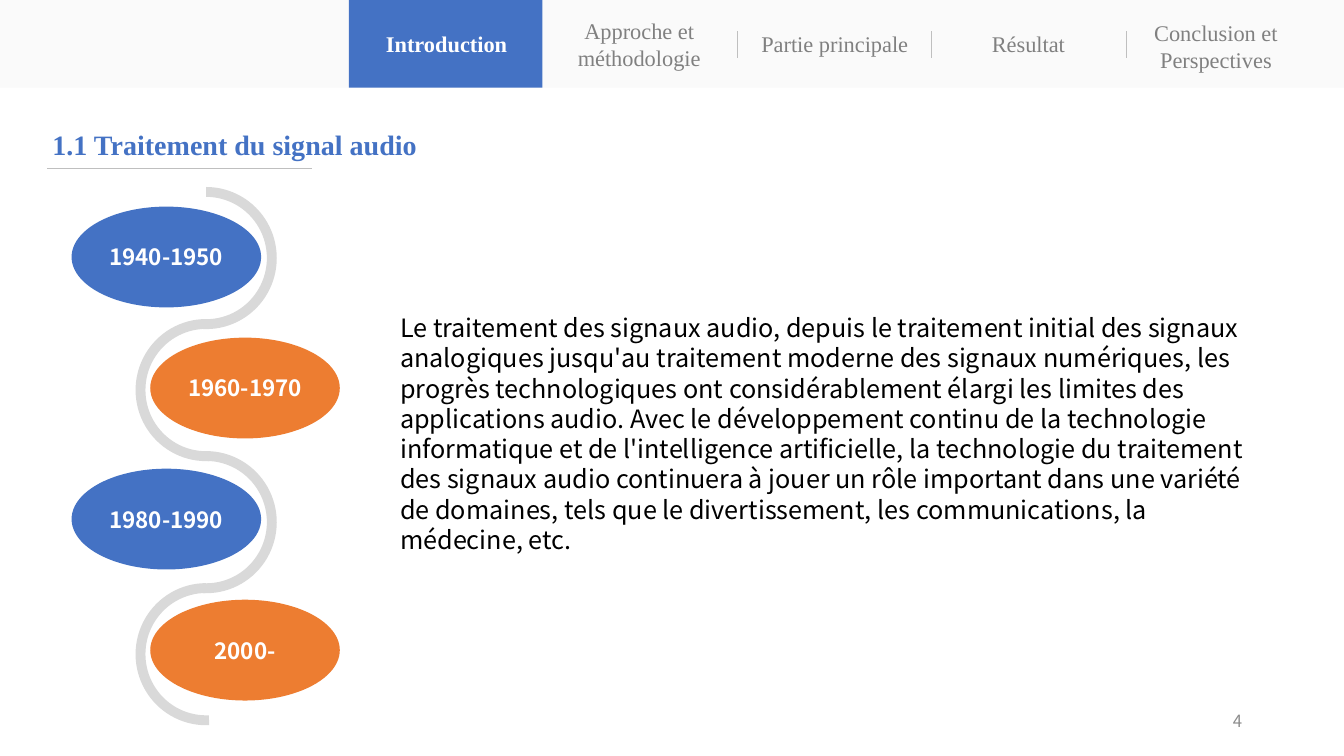
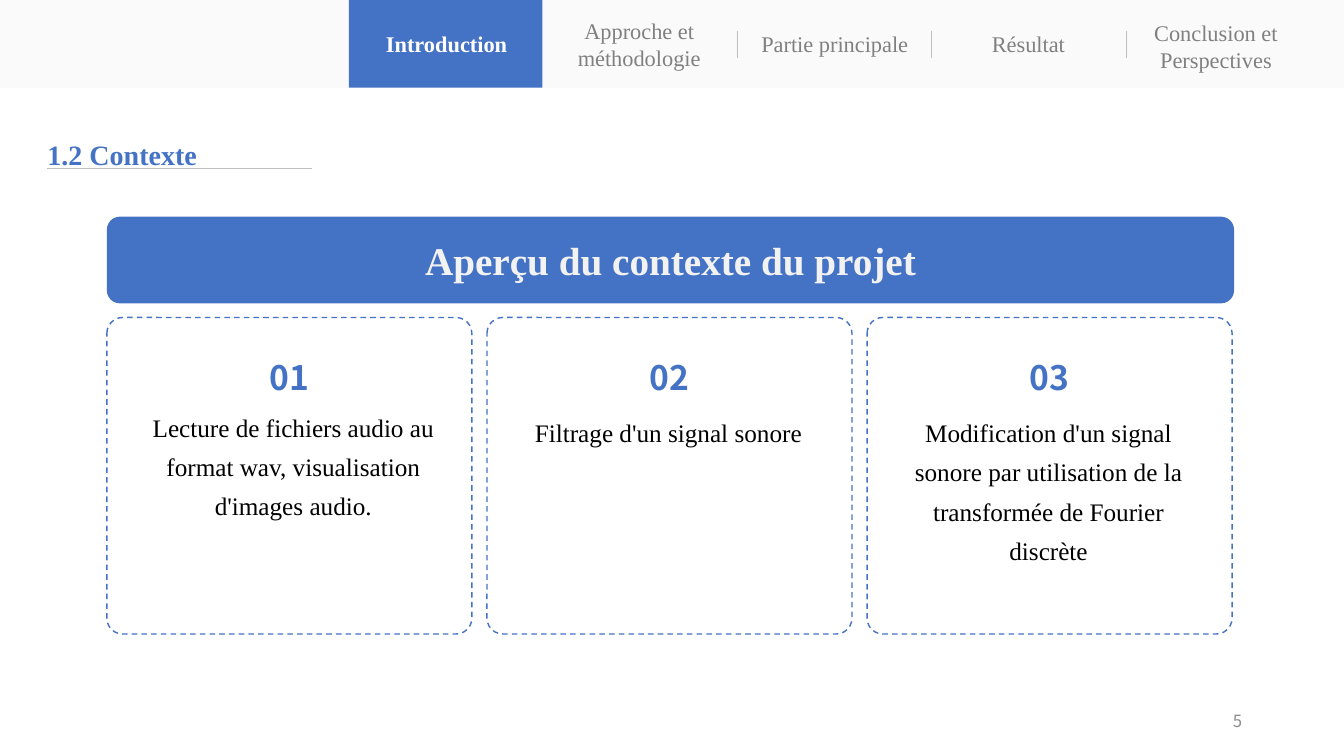
from dataclasses import dataclass

from lxml.etree import SubElement
from pptx import Presentation
from pptx.dml.color import RGBColor
from pptx.enum.dml import MSO_LINE as Dash
from pptx.enum.shapes import MSO_CONNECTOR as Link, MSO_SHAPE as Kind
from pptx.enum.text import MSO_ANCHOR as Anchor, MSO_AUTO_SIZE as Fit, PP_ALIGN as Align
from pptx.oxml.ns import qn
from pptx.util import Inches, Pt

HEX = {
    "blue": "4472C4", "orange": "ED7D31", "band": "FAFAFA", "rule": "BFBFBF",
    "arc": "D9D9D9", "grey": "808080", "page": "8C8C8C", "pale": "F2F2F2",
    "white": "FFFFFF", "black": "000000",
}
SERIF, SANS = "Times New Roman", "Noto Sans CJK SC"
STYLES = {
    "title": {"name": SERIF, "size": Pt(20), "bold": True, "color": "blue"},
    "tab": {"name": SERIF, "size": Pt(16), "bold": False, "color": "grey"},
    "active": {"name": SERIF, "size": Pt(16), "bold": True, "color": "white"},
    "page": {"name": SANS, "size": Pt(12), "color": "page"},
    "era": {"name": SANS, "size": Pt(16), "bold": True, "color": "white"},
    "body": {"name": SANS, "size": Pt(18), "color": "black"},
    "banner": {"name": SERIF, "size": Pt(28), "bold": True, "color": "pale"},
    "number": {"name": SANS, "size": Pt(24), "bold": True, "color": "blue"},
    "card": {"name": SERIF, "size": Pt(18), "color": "black"},
}
FLAT = (0, 0.05, 0, 0.05)
PLAIN = (0.1, 0.05, 0.1, 0.05)
NONE = (0, 0, 0, 0)


@dataclass
class Box:
    left: float
    top: float
    width: float
    height: float

    def emu(self) -> list:
        return [Inches(n) for n in (self.left, self.top, self.width, self.height)]


@dataclass
class Tab:
    text: str
    left: float
    mid: float = 0.43


@dataclass
class Era:
    text: str
    left: float
    fill: str


@dataclass
class Card:
    text: str
    left: float
    top: float


TABS = [
    Tab("Introduction", 3.46),
    Tab("Approche et méthodologie", 5.37, 0.44),
    Tab("Partie principale", 7.31),
    Tab("Résultat", 9.23),
    Tab("Conclusion et Perspectives", 11.09, 0.46),
]
ERAS = [
    Era("1940-1950", 0.71, "blue"),
    Era("1960-1970", 1.49, "orange"),
    Era("1980-1990", 0.71, "blue"),
    Era("2000-", 1.49, "orange"),
]
CARDS = [
    Card("Lecture de fichiers audio au format wav, visualisation d'images audio.", 1.41, 4),
    Card("Filtrage d'un signal sonore", 5.13, 4.05),
    Card("Modification d'un signal sonore par utilisation de la transformée "
         "de Fourier discrète", 8.9, 4.05),
]
STORY = (
    "Le traitement des signaux audio, depuis le traitement initial des signaux "
    "analogiques jusqu'au traitement moderne des signaux numériques, les progrès "
    "technologiques ont considérablement élargi les limites des applications audio. "
    "Avec le développement continu de la technologie informatique et de "
    "l'intelligence artificielle, la technologie du traitement des signaux audio "
    "continuera à jouer un rôle important dans une variété de domaines, tels que le "
    "divertissement, les communications, la médecine, etc."
)


def tint(name: str) -> RGBColor:
    return RGBColor.from_string(HEX[name])


def write(shape, text: str, style: str, align=Align.LEFT, anchor=Anchor.TOP,
          pad: tuple = PLAIN, space: float = 1) -> None:
    """Fill a shape's text frame with one styled paragraph."""
    frame = shape.text_frame
    sides = ("margin_left", "margin_top", "margin_right", "margin_bottom")
    form = dict(zip(sides, map(Inches, pad)))
    form |= {"word_wrap": True, "auto_size": Fit.NONE, "vertical_anchor": anchor}
    for key, value in form.items():
        setattr(frame, key, value)
    para = frame.paragraphs[0]
    para.alignment, para.line_spacing = align, space
    run = para.add_run()
    run.text = text
    for key, value in STYLES[style].items():
        if key == "color":
            run.font.color.rgb = tint(value)
        else:
            setattr(run.font, key, value)


def label(slide, box: Box, text: str, style: str, **form) -> None:
    write(slide.shapes.add_textbox(*box.emu()), text, style, **form)


def draw(slide, kind, box: Box, fill: str = "", edge: str = "", adj: tuple = ()):
    """Add a flat preset shape, filled or with a dashed edge."""
    shape = slide.shapes.add_shape(kind, *box.emu())
    shape.shadow.inherit = False
    for spot, value in enumerate(adj):
        shape.adjustments[spot] = value
    if fill:
        shape.fill.solid()
        shape.fill.fore_color.rgb = tint(fill)
    else:
        shape.fill.background()
    if edge:
        shape.line.color.rgb = tint(edge)
        shape.line.width = Pt(1)
        shape.line.dash_style = Dash.DASH
    else:
        shape.line.fill.background()
    return shape


def rule(slide, *ends: float) -> None:
    line = slide.shapes.add_connector(Link.STRAIGHT, *map(Inches, ends))
    line.line.color.rgb = tint("rule")
    line.line.width = Pt(0.5)
    SubElement(line.element.spPr, qn("a:effectLst"))


def start(deck, title: str, spot: Box, page: int):
    """Add a slide with the shared tab bar, title and page number."""
    slide = deck.slides.add_slide(deck.slide_layouts[5])
    head = slide.shapes.title
    head.left, head.top, head.width, head.height = spot.emu()
    write(head, title, "title", pad=FLAT)
    draw(slide, Kind.RECTANGLE, Box(0, 0, 13.33, 0.87), "band")
    draw(slide, Kind.RECTANGLE, Box(3.46, 0, 1.92, 0.87), "blue")
    rule(slide, 0.47, 1.67, 3.09, 1.67)
    for step in range(3):
        left = 7.31 + 1.93 * step
        rule(slide, left, 0.31, left, 0.58)
    for spot, tab in enumerate(TABS):
        label(slide, Box(tab.left, tab.mid - 0.3, 1.94, 0.6), tab.text,
              "tab" if spot else "active",
              align=Align.CENTER, anchor=Anchor.MIDDLE, pad=FLAT)
    label(slide, Box(9.42, 6.95, 3, 0.4), str(page), "page",
          align=Align.RIGHT, anchor=Anchor.MIDDLE)
    return slide


def signal(deck) -> None:
    slide = start(deck, "1.1 Traitement du signal audio", Box(0.52, 1.21, 4.16, 0.44), 4)
    for step in range(len(ERAS)):
        arc = draw(slide, Kind.BLOCK_ARC, Box(1.34, 1.86 + 1.31 * step, 1.41, 1.4),
                   "arc", adj=(108, 1.497, 0.07))
        arc.rotation = 90
        if step % 2:
            arc.rotation = 270
            arc.element.spPr.find(qn("a:xfrm")).set("flipH", "1")
    for step, era in enumerate(ERAS):
        oval = draw(slide, Kind.OVAL, Box(era.left, 2.05 + 1.3 * step, 1.88, 1), era.fill)
        write(oval, era.text, "era", align=Align.CENTER, anchor=Anchor.MIDDLE)
    label(slide, Box(3.87, 3.05, 8.65, 2.22), STORY, "body")


def context(deck) -> None:
    slide = start(deck, "1.2 Contexte", Box(0.47, 1.31, 4.16, 0.44), 5)
    banner = draw(slide, Kind.ROUNDED_RECTANGLE, Box(1.06, 2.15, 11.18, 0.86),
                  "blue", adj=(0.15,))
    write(banner, "Aperçu du contexte du projet", "banner",
          align=Align.CENTER, anchor=Anchor.MIDDLE)
    for step, card in enumerate(CARDS):
        left = 1.06 + 3.77 * step
        draw(slide, Kind.ROUNDED_RECTANGLE, Box(left, 3.15, 3.62, 3.14),
             edge="blue", adj=(0.05,))
        label(slide, Box(left + 0.29, 3.34, 3.04, 0.53), f"{step + 1:02}", "number",
              align=Align.CENTER, pad=NONE, space=1.5)
        label(slide, Box(card.left, card.top, 3, 1.54), card.text, "card",
              align=Align.CENTER, pad=NONE, space=1.3)


def main() -> None:
    deck = Presentation()
    deck.slide_width, deck.slide_height = Inches(13.33), Inches(7.5)
    signal(deck)
    context(deck)
    deck.save("out.pptx")


if __name__ == "__main__":
    main()
